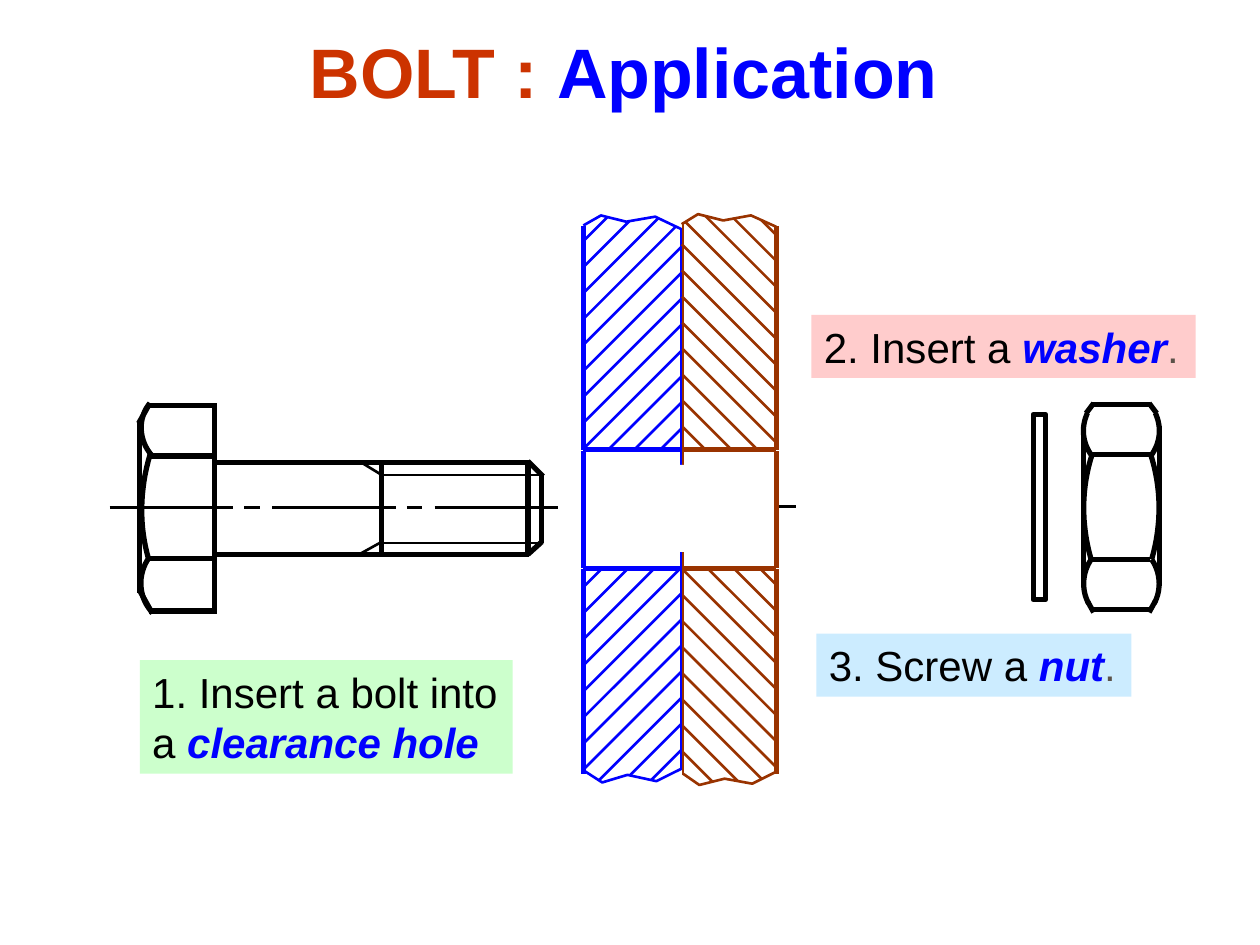
"""Build a slide on how a bolt, washer and nut join two plates."""
from itertools import pairwise
from typing import NamedTuple

from lxml.etree import SubElement
from pptx import Presentation
from pptx.dml.color import RGBColor as Rgb
from pptx.enum.shapes import MSO_CONNECTOR as Conn, MSO_SHAPE as Form
from pptx.enum.text import MSO_AUTO_SIZE as Fit
from pptx.oxml.ns import qn
from pptx.util import Inches, Pt

HUES = {
    "black": "000000", "white": "FFFFFF", "blue": "0000FF", "brown": "993300",
    "red": "CC3300", "grey": "5B5249", "mint": "CCFFCC", "pink": "FFCCCC", "sky": "CCECFF",
}
WIDE, HIGH = Inches(10), Inches(7.5)
COL, ROW = WIDE / 10, HIGH / 7.5
THIN, BOLD = 1.5, 3
Point = tuple[float, float]


class Run(NamedTuple):
    text: str
    hue: str = "black"
    bold: bool = False
    slant: bool = False


class Label(NamedTuple):
    box: tuple[float, float, float, float]
    size: int
    rows: list[list[Run]]
    fill: str | None = None


class Line(NamedTuple):
    x1: float
    y1: float
    x2: float
    y2: float
    wide: float = BOLD


class Hatch(NamedTuple):
    edge: list[Point]
    lean: int
    start: float
    step: float
    count: int


class Plate(NamedTuple):
    hue: str
    lines: list[Line]
    jags: list[list[Point]]
    fills: list[Hatch]


def hue(name: str) -> Rgb:
    return Rgb.from_string(HUES[name])


def spot(x: float, y: float) -> tuple[int, int]:
    return round(x * COL), round(y * ROW)


def draw_line(shapes, line: Line, tint: str) -> None:
    item = shapes.add_connector(Conn.STRAIGHT, *spot(line.x1, line.y1), *spot(line.x2, line.y2))
    item.line.color.rgb = hue(tint)
    item.line.width = Pt(line.wide)
    SubElement(item._element.spPr, qn("a:effectLst"))


def draw_path(shapes, points: list[Point], tint: str, wide: float) -> None:
    first, *rest = [spot(*point) for point in points]
    pen = shapes.build_freeform(*first)
    pen.add_line_segments(rest, close=False)
    item = pen.convert_to_shape()
    item.shadow.inherit = False
    item.fill.background()
    item.line.color.rgb = hue(tint)
    item.line.width = Pt(wide)


def draw_rect(shapes, box: tuple[float, float, float, float], edge: str | None = None) -> None:
    item = shapes.add_shape(Form.RECTANGLE, *spot(*box[:2]), *spot(*box[2:]))
    item.shadow.inherit = False
    item.fill.solid()
    item.fill.fore_color.rgb = hue("white")
    if edge:
        item.line.color.rgb = hue(edge)
        item.line.width = Pt(BOLD)
    else:
        item.line.fill.background()


def curve(a: Point, b: Point, c: Point, d: Point, parts: int = 16) -> list[Point]:
    def blend(t: float, p: float, q: float, r: float, s: float) -> float:
        u = 1 - t
        return u**3 * p + 3 * u * u * t * q + 3 * u * t * t * r + t**3 * s

    return [tuple(blend(n / parts, *axis) for axis in zip(a, b, c, d)) for n in range(parts + 1)]


def draw_hatch(shapes, hatch: Hatch, tint: str) -> None:
    for n in range(hatch.count):
        level = hatch.start - n * hatch.step
        hits = []
        for (x1, y1), (x2, y2) in pairwise(hatch.edge + hatch.edge[:1]):
            near, far = (y + hatch.lean * x - level for x, y in ((x1, y1), (x2, y2)))
            if near * far < 0:
                part = near / (near - far)
                hits.append((x1 + part * (x2 - x1), y1 + part * (y2 - y1)))
        draw_line(shapes, Line(*min(hits), *max(hits), THIN), tint)


def draw_plate(shapes, plate: Plate) -> None:
    group = shapes.add_group_shape().shapes
    for jag in plate.jags:
        draw_path(group, jag, plate.hue, THIN)
    for hatch in plate.fills:
        draw_hatch(group, hatch, plate.hue)
    for line in plate.lines:
        draw_line(group, line, plate.hue)


def draw_part(shapes, lines: list[Line], arcs: list[list[Point]]) -> None:
    group = shapes.add_group_shape().shapes
    for arc in arcs:
        draw_path(group, curve(*arc), "black", BOLD)
    for line in lines:
        draw_line(group, line, "black")


def draw_label(shapes, label: Label) -> None:
    item = shapes.add_textbox(*spot(*label.box[:2]), *spot(*label.box[2:]))
    if label.fill:
        item.fill.solid()
        item.fill.fore_color.rgb = hue(label.fill)
    frame = item.text_frame
    frame.word_wrap = False
    frame.auto_size = Fit.SHAPE_TO_FIT_TEXT
    for n, row in enumerate(label.rows):
        para = frame.add_paragraph() if n else frame.paragraphs[0]
        for piece in row:
            run = para.add_run()
            run.text = piece.text
            font = run.font
            font.name, font.size = "Arial", Pt(label.size)
            font.bold, font.italic = piece.bold, piece.slant
            font.color.rgb = hue(piece.hue)


def make_plate(tint: str, left: float, right: float, outer: float, seam: Line,
               top: list[Point], base: list[Point], lean: int, starts: Point) -> Plate:
    roof, floor = 3.57, 4.51
    sides = [Line(outer, y1, outer, y2) for y1, y2 in ((6.14, 4.52), (roof, 1.79), (floor, 3.58))]
    rims = [Line(left, y, right, y) for y in (floor, roof)]
    fills = [
        Hatch(base + [(right, floor), (left, floor)], lean, starts[0], 0.207, 11),
        Hatch(top + [(right, roof), (left, roof)], lean, starts[1], 0.206, 12),
    ]
    return Plate(tint, [seam, *sides, *rims], [top, base], fills)


PLATES = [
    make_plate("blue", 4.63, 5.41, 4.63, Line(5.41, 6.11, 5.41, 1.81, THIN),
               [(4.63, 1.79), (4.77, 1.71), (4.97, 1.76), (5.2, 1.72), (5.41, 1.82)],
               [(4.64, 6.12), (4.78, 6.21), (4.98, 6.15), (5.21, 6.2), (5.41, 6.1)],
               1, (11.36, 8.81)),
    make_plate("brown", 5.42, 6.16, 6.16, Line(5.42, 6.15, 5.42, 1.76, THIN),
               [(5.41, 1.78), (5.54, 1.7), (5.74, 1.75), (5.96, 1.71), (6.16, 1.8)],
               [(5.42, 6.14), (5.55, 6.23), (5.75, 6.18), (5.97, 6.22), (6.17, 6.12)],
               -1, (0.55, -2.03)),
]
HALF = [
    [(8.66, 3.61), (8.59, 3.51), (8.58, 3.39), (8.63, 3.28)],
    [(8.66, 4.44), (8.58, 4.17), (8.58, 3.87), (8.67, 3.6)],
    [(8.64, 4.79), (8.58, 4.68), (8.59, 4.54), (8.66, 4.44)],
]
SIDE = [Line(8.62, 3.28, 8.68, 3.2), Line(8.63, 4.77, 8.68, 4.86), Line(8.6, 4.65, 8.6, 3.38)]
AXIS = 8.9
NUT_ARCS = HALF + [[(2 * AXIS - x, y) for x, y in arc] for arc in HALF]
NUT = SIDE + [Line(2 * AXIS - s.x1, s.y1, 2 * AXIS - s.x2, s.y2) for s in SIDE]
NUT += [Line(8.66, y, 9.13, y) for y in (3.21, 3.61, 4.44, 4.84)]

HEAD_ARCS = [
    [(1.18, 4.44), (1.1, 4.17), (1.11, 3.88), (1.19, 3.61)],
    [(1.2, 4.85), (1.1, 4.74), (1.09, 4.56), (1.18, 4.43)],
    [(1.21, 3.62), (1.1, 3.5), (1.09, 3.32), (1.19, 3.2)],
]
BOLT = [Line(1.18, y, 1.72, y) for y in (3.22, 3.62, 4.43, 4.85)]
BOLT += [Line(1.7, y, 4.2, y) for y in (3.67, 4.4)]
BOLT += [Line(x, y1, x, y2) for x, y1, y2 in (
    (1.11, 3.35, 4.71), (1.7, 3.2, 4.85), (3.03, 3.67, 4.4), (4.19, 3.67, 4.4), (4.3, 3.77, 4.31))]
BOLT += [Line(4.19, 3.66, 4.31, 3.78), Line(4.19, 4.4, 4.3, 4.3),
         Line(1.11, 4.69, 1.21, 4.87), Line(1.1, 3.36, 1.19, 3.2)]
BOLT += [Line(3.03, y, 4.3, y, THIN) for y in (3.77, 4.31)]
BOLT += [Line(3.03, y1, 2.85, y2, THIN) for y1, y2 in ((3.77, 3.66), (4.3, 4.4))]
BOLT += [Line(x1, 4.03, x2, 4.03, THIN) for x1, x2 in (
    (0.87, 1.85), (1.94, 2.06), (2.16, 3.14), (3.23, 3.35), (3.45, 4.43))]

STOP = Run(".", "grey")
LABELS = [
    Label((1.11, 5.24, 2.96, 0.9), 24, [[Run("1. Insert a bolt into")],
          [Run("a "), Run("clearance hole", "blue", True, True)]], "mint"),
    Label((6.44, 2.5, 3.05, 0.5), 24,
          [[Run("2. Insert a "), Run("washer", "blue", True, True), STOP]], "pink"),
    Label((6.48, 5.03, 2.5, 0.5), 24,
          [[Run("3. Screw a "), Run("nut", "blue", True, True), STOP]], "sky"),
    Label((2.36, 0.18, 5.22, 0.77), 40,
          [[Run("BOLT : ", "red", True), Run("Application", "blue", True)]]),
]


def main() -> None:
    deck = Presentation()
    deck.slide_width, deck.slide_height = WIDE, HIGH
    shapes = deck.slides.add_slide(deck.slide_layouts[6]).shapes
    for plate in PLATES:
        draw_plate(shapes, plate)
    draw_rect(shapes, (5.38, 3.69, 0.08, 0.69))
    draw_part(shapes, NUT, NUT_ARCS)
    for label in LABELS:
        draw_label(shapes, label)
    draw_part(shapes, BOLT, HEAD_ARCS)
    draw_rect(shapes, (8.2, 3.29, 0.1, 1.47), "black")
    draw_line(shapes, Line(6.18, 4.02, 6.32, 4.02, THIN), "black")
    deck.save("out.pptx")


if __name__ == "__main__":
    main()
